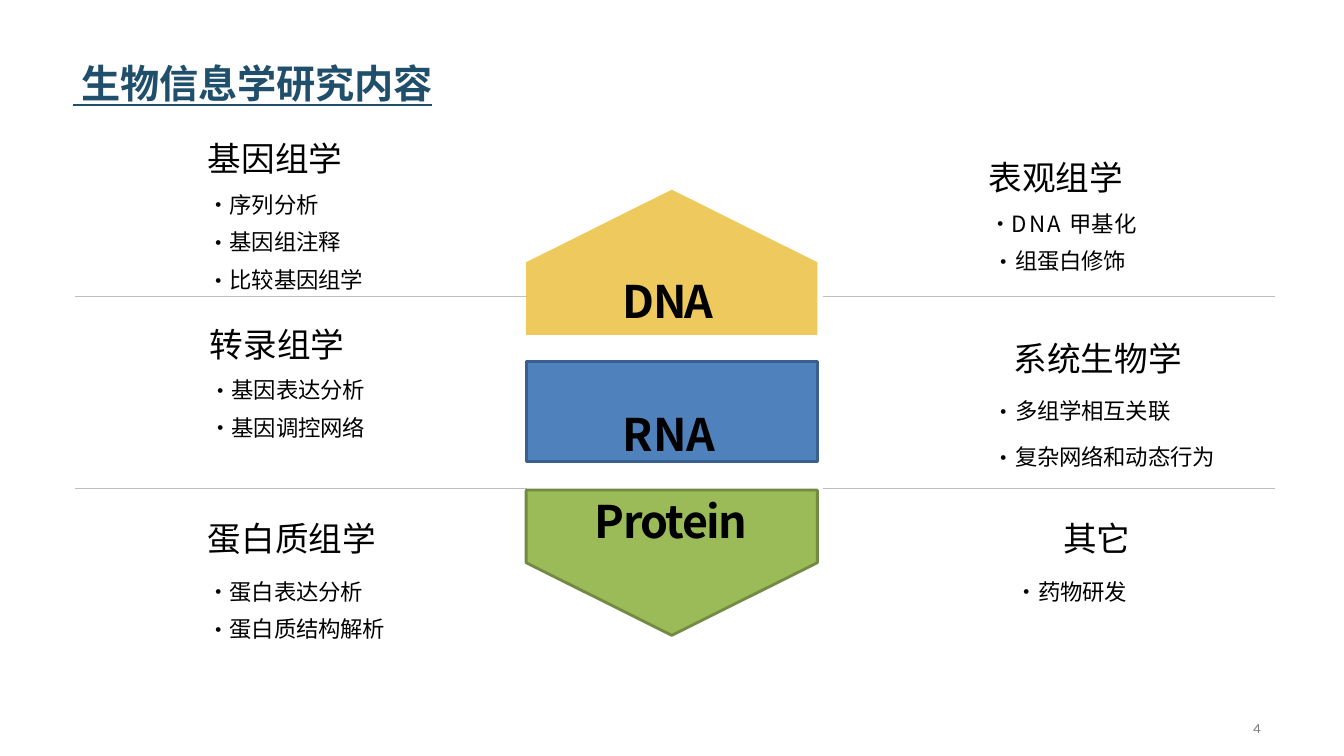
from lxml.etree import SubElement
from pptx import Presentation
from pptx.dml.color import RGBColor as RGB
from pptx.enum.shapes import MSO_CONNECTOR as LINK, MSO_SHAPE as SHAPE
from pptx.enum.text import MSO_ANCHOR as ANCHOR, MSO_AUTO_SIZE as FIT
from pptx.oxml.ns import qn
from pptx.util import Cm, Pt

SANS = "Noto Sans CJK SC"


def paint(part, color):
    part.solid()
    part.fore_color.rgb = RGB.from_string(color)


def write(para, text, size, color="000000", gap=0, face=SANS, **look):
    """Add a run; gap is the letter spacing in points."""
    run = para.add_run()
    run.text = text
    form = {"size": Pt(size), "name": face, **look}
    for key, value in form.items():
        setattr(run.font, key, value)
    paint(run.font.fill, color)
    props = run.font._element
    props.set("spc", str(round(gap * 100)))
    SubElement(props, qn("a:ea"), typeface=face)


deck = Presentation()
deck.slide_width, deck.slide_height = Cm(33.87), Cm(19.05)
slide = deck.slides.add_slide(deck.slide_layouts[6])
shapes = slide.shapes

# Divider lines
for y in (7.47, 12.29):
    for x in (1.88, 20.75):
        rule = shapes.add_connector(LINK.STRAIGHT, Cm(x), Cm(y), Cm(x + 11.39), Cm(y))
        paint(rule.line.fill, "BEBEBE")
        rule.line.width = Pt(0.25)
        SubElement(rule._element.spPr, qn("a:effectLst"))

# Central column: roof, block and point
left, mid, right = 13.26, 16.93, 20.6
roof = [(mid, 4.78), (left, 6.61), (left, 8.44), (right, 8.44), (right, 6.61)]
point = [(right, 12.35), (left, 12.35), (left, 14.18), (mid, 16.01), (right, 14.18)]
column = []
for dots in (roof, point):
    start, *rest = [(Cm(x), Cm(y)) for x, y in dots]
    path = shapes.build_freeform(*start)
    path.add_line_segments(rest, close=True)
    column.append(path.convert_to_shape())
block = shapes.add_shape(SHAPE.RECTANGLE, Cm(left), Cm(9.12), Cm(right - left), Cm(2.51))
column.append(block)
tints = [("EABD36", None), ("9BBB59", "738A42"), ("4F81BD", "3A5F8C")]
for shape, (fill, edge) in zip(column, tints):
    shape.shadow.inherit = False
    paint(shape.fill, fill)
    if edge:
        paint(shape.line.fill, edge)
        shape.line.width = Pt(2)
    else:
        shape.line.fill.background()
        tone = shape._element.spPr.find(qn("a:solidFill"))[0]
        SubElement(tone, qn("a:alpha"), val="80000")

# Text frames: left, top, width, height
spots = {
    "title": (1.83, 1.5, 30.2, 1.22),
    "DNA": (15.67, 6.91, 2.6, 1.4),
    "Protein": (14.96, 12.45, 4.2, 1.4),
    "page": (31.5, 18.13, 0.5, 0.46),
    "基因组学": (5.21, 3.48, 4.5, 3.9),
    "转录组学": (5.26, 8.15, 4.85, 3),
    "蛋白质组学": (5.21, 13.06, 4.7, 3.2),
    "表观组学": (24.89, 3.96, 4.5, 3),
    "系统生物学": (23.85, 8.51, 7.32, 3.6),
    "其它": (25.58, 13.06, 4.04, 2.2),
}
frames = {"RNA": block.text_frame}
for name, spot in spots.items():
    frames[name] = shapes.add_textbox(*map(Cm, spot)).text_frame
    frames[name].auto_size = FIT.SHAPE_TO_FIT_TEXT
for frame in frames.values():
    form = {"word_wrap": True, "vertical_anchor": ANCHOR.TOP, "margin_left": 0,
            "margin_right": 0, "margin_top": 0, "margin_bottom": 0}
    for key, value in form.items():
        setattr(frame, key, value)

# Title and page number
head = frames["title"].paragraphs[0]
write(head, " ", 28, "204F6C", underline=True)
write(head, "生物信息学研究内容", 28, "204F6C", -0.1, bold=True, underline=True)
write(frames["page"].paragraphs[0], "4", 10, "7E7E7E", 0.2, "Karla")
frames["page"].paragraphs[0]._p.get_or_add_pPr().set("marL", str(Cm(0.08)))

# Column labels
frames["RNA"].margin_top = Cm(1.12)
for name, gap, inset in (("DNA", -1.4, 0.03), ("RNA", -0.3, 2.44), ("Protein", -1.1, 0.03)):
    para = frames[name].paragraphs[0]
    para._p.get_or_add_pPr().set("marL", str(Cm(inset)))
    para._p.pPr.set("algn", "l")
    write(para, name, 32, gap=gap, bold=True)

# Topics: name, heading indent, space before first and later items, (item, indent)
topics = [
    ("基因组学", 0.03, 8.8, 7.7, [("序列分析", 0.5), ("基因组注释", 0.5), ("比较基因组学", 0.5)]),
    ("转录组学", 0.03, 8.8, 7.7, [("基因表达分析", 0.5), ("基因调控网络", 0.5)]),
    ("蛋白质组学", 0.03, 13.7, 7.7, [("蛋白表达分析", 0.5), ("蛋白质结构解析", 0.5)]),
    ("表观组学", 0.03, 8.8, 7.7, [("DNA 甲基化", 0.53), ("组蛋白修饰", 0.61)]),
    ("系统生物学", 1.7, 13.7, 13.7, [("多组学相互关联", 1.65), ("复杂网络和动态行为", 1.65)]),
    ("其它", 1.22, 13.7, 7.7, [("药物研发", 0.5)]),
]
for name, inset, first, later, items in topics:
    para = frames[name].paragraphs[0]
    para._p.get_or_add_pPr().set("marL", str(Cm(inset)))
    write(para, name, 24)
    for rank, (item, inset) in enumerate(items):
        para = frames[name].add_paragraph()
        props = para._p.get_or_add_pPr()
        props.set("marL", str(Cm(inset)))
        props.set("indent", str(-Cm(0.48)))
        SubElement(props, qn("a:buFont"), typeface=SANS)
        SubElement(props, qn("a:buChar"), char="•")
        para.space_before = Pt(later if rank else first)
        latin, space, han = item.rpartition(" ")
        if latin:
            write(para, latin + space, 16, gap=1.4)
        write(para, han, 16, gap=-0.1)

deck.save("out.pptx")
